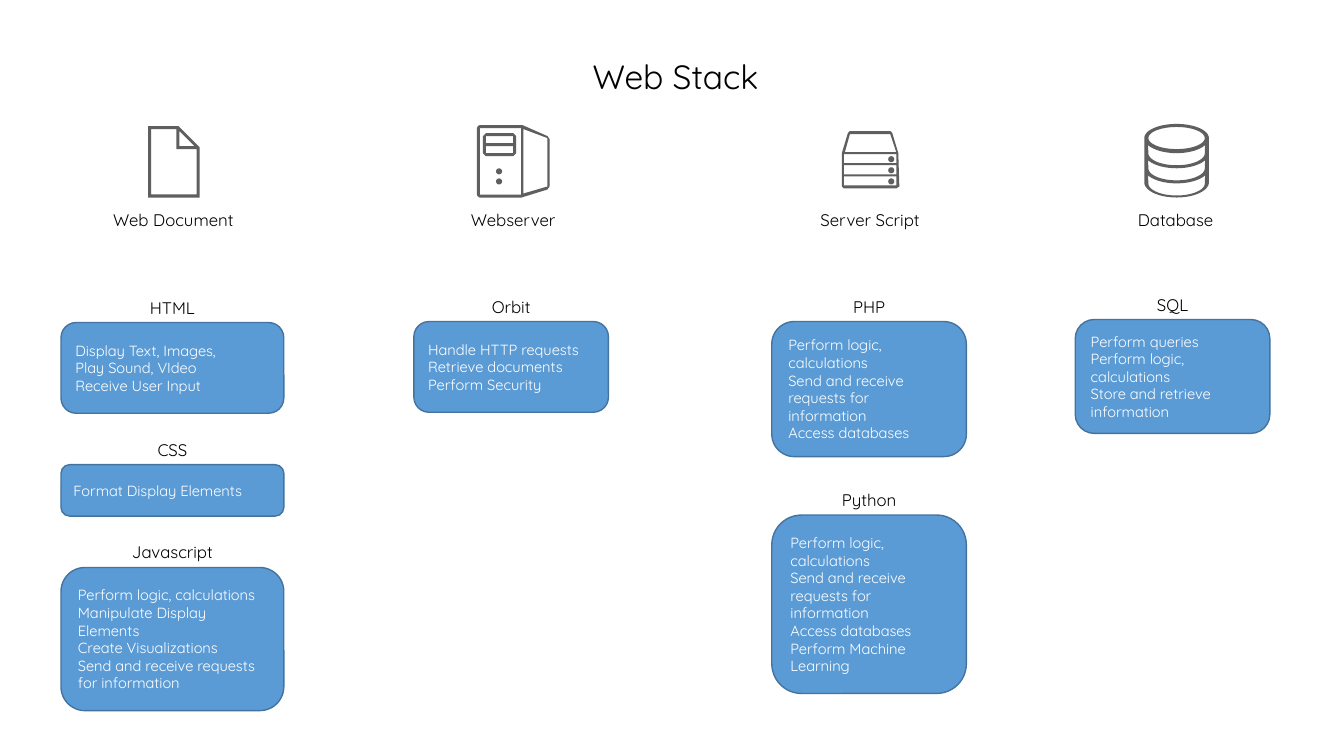
from math import cos, sin, radians
from pptx import Presentation
from pptx import util as u
from pptx.dml.color import RGBColor
from pptx.enum import shapes, text

HUES = {"ink": "000000", "paper": "FFFFFF", "icon": "5F5F5F",
        "card": "5B9BD5", "edge": "43739E"}
FONT = "Quicksand"


class Deck:
    def __init__(self):
        self.prs = Presentation()
        self.prs.slide_width = u.Inches(13.33)
        self.prs.slide_height = u.Inches(7.5)
        self.slide = self.prs.slides.add_slide(self.prs.slide_layouts[5])

    def hue(self, name):
        return RGBColor.from_string(HUES[name])

    def style(self, frame, words, size, color, align):
        frame.text = words
        frame.word_wrap = True
        for para in frame.paragraphs:
            para.alignment = align
            for run in para.runs:
                run.font.size = u.Pt(size)
                run.font.name = FONT
                run.font.color.rgb = self.hue(color)

    def title(self, words, x, y, w, h):
        shape = self.slide.shapes.title
        shape.left, shape.top = u.Inches(x), u.Inches(y)
        shape.width, shape.height = u.Inches(w), u.Inches(h)
        frame = shape.text_frame
        self.style(frame, words, 24, "ink", text.PP_ALIGN.CENTER)
        frame.vertical_anchor = text.MSO_ANCHOR.TOP
        frame.auto_size = text.MSO_AUTO_SIZE.NONE

    def label(self, words, mid, y, w=1.52, h=0.3):
        box = self.slide.shapes.add_textbox(
            u.Inches(mid - w / 2), u.Inches(y), u.Inches(w), u.Inches(h))
        self.style(box.text_frame, words, 12, "ink", text.PP_ALIGN.CENTER)
        box.text_frame.auto_size = text.MSO_AUTO_SIZE.SHAPE_TO_FIT_TEXT

    def card(self, name, lines, mid, y, w, h):
        self.label(name, mid, y - 0.3)
        box = self.slide.shapes.add_shape(
            shapes.MSO_SHAPE.ROUNDED_RECTANGLE,
            u.Inches(mid - w / 2), u.Inches(y), u.Inches(w), u.Inches(h))
        box.shadow.inherit = False
        box.fill.solid()
        box.fill.fore_color.rgb = self.hue("card")
        box.line.color.rgb = self.hue("edge")
        box.line.width = u.Pt(1)
        box.text_frame.vertical_anchor = text.MSO_ANCHOR.MIDDLE
        self.style(box.text_frame, "\n".join(lines), 10.5, "paper",
                   text.PP_ALIGN.LEFT)

    def icon(self, loops):
        """Fill nested outlines; every second level is a hole."""
        rings = [[(u.Inches(x), u.Inches(y)) for x, y in loop]
                 for loop in loops]
        pen = self.slide.shapes.build_freeform(*rings[0][0], scale=1.0)
        for i, ring in enumerate(rings):
            if i:
                pen.move_to(*ring[0])
            pen.add_line_segments(ring[1:], close=True)
        shape = pen.convert_to_shape()
        shape.shadow.inherit = False
        shape.fill.solid()
        shape.fill.fore_color.rgb = self.hue("icon")
        shape.line.fill.background()


def rect(x, y, w, h):
    return [(x, y), (x + w, y), (x + w, y + h), (x, y + h)]


def arc(x, y, rx, ry, start=0, end=360, steps=32):
    turns = [radians(start + (end - start) * i / steps)
             for i in range(steps + 1)]
    return [(x + rx * cos(t), y + ry * sin(t)) for t in turns]


def dot(x, y, r):
    return arc(x, y, r, r, steps=16)


def page():
    return [[(1.47, 1.25), (1.77, 1.25), (1.98, 1.46), (1.98, 1.96),
             (1.47, 1.96)],
            [(1.5, 1.28), (1.75, 1.28), (1.75, 1.48), (1.95, 1.48),
             (1.95, 1.93), (1.5, 1.93)],
            [(1.78, 1.3), (1.93, 1.45), (1.78, 1.45)]]


def tower():
    shell = [(4.76, 1.24), (5.18, 1.24), (5.43, 1.35), (5.45, 1.38),
             (5.45, 1.85), (5.43, 1.88), (5.17, 1.96), (4.76, 1.96),
             (4.74, 1.95), (4.73, 1.93), (4.73, 1.27), (4.74, 1.25)]
    side = [(5.19, 1.28), (5.43, 1.37), (5.43, 1.85), (5.19, 1.92)]
    drive = [(4.82, 1.32), (5.09, 1.32), (5.12, 1.35), (5.12, 1.52),
             (5.09, 1.55), (4.82, 1.55), (4.79, 1.52), (4.79, 1.35)]
    slots = [rect(4.82, y, 0.27, 0.07) for y in (1.35, 1.45)]
    lights = [dot(4.95, y, 0.03) for y in (1.7, 1.8)]
    return [shell, rect(4.76, 1.27, 0.41, 0.66), side, drive, *slots, *lights]


def rack():
    shell = [(8.35, 1.52), (8.41, 1.32), (8.43, 1.3), (8.83, 1.3),
             (8.85, 1.32), (8.91, 1.52), (8.92, 1.85), (8.89, 1.87),
             (8.37, 1.87), (8.35, 1.85)]
    lid = [(8.43, 1.33), (8.83, 1.33), (8.89, 1.51), (8.38, 1.51)]
    loops = [shell, lid]
    for y in (1.53, 1.64, 1.75):
        loops += [rect(8.37, y, 0.52, 0.09), dot(8.84, y + 0.05, 0.03)]
    return loops


def drum():
    mid, wide, slim = 11.67, 0.32, 0.28
    loops = [arc(mid, 1.37, wide, 0.14, 180, 360)
             + arc(mid, 1.81, wide, 0.15, 0, 180),
             arc(mid, 1.37, slim, 0.11)]
    for y in (1.37, 1.52, 1.67):
        loops.append(arc(mid, y, wide, 0.15, 152, 28)
                     + arc(mid, y + 0.15, slim, 0.12, 0, 180))
    return loops


deck = Deck()
deck.title("Web Stack", 5.45, 0.5, 2.5, 0.5)

# Stack layers: icon and heading
for name, mid, draw in [("Web Document", 1.72, page),
                        ("Webserver", 5.09, tower),
                        ("Server Script", 8.63, rack),
                        ("Database", 11.66, drum)]:
    deck.icon(draw())
    deck.label(name, mid, 2.03)

# Cards by column: centre, width, then name, top, height and lines
logic = "Perform logic, calculations"
send = "Send and receive requests for information"
access = "Access databases"
columns = [
    (1.71, 2.21, [
        ("HTML", 3.2, 0.9, ["Display Text, Images,", "Play Sound, VIdeo",
                            "Receive User Input"]),
        ("CSS", 4.61, 0.51, ["Format Display Elements"]),
        ("Javascript", 5.63, 1.42, [logic, "Manipulate Display Elements",
                                    "Create Visualizations", send])]),
    (5.07, 1.93, [
        ("Orbit", 3.19, 0.9, ["Handle HTTP requests", "Retrieve documents",
                              "Perform Security"])]),
    (8.62, 1.93, [
        ("PHP", 3.19, 1.34, [logic, send, access]),
        ("Python", 5.11, 1.77, [logic, send, access,
                                "Perform Machine Learning"])]),
    (11.63, 1.93, [
        ("SQL", 3.17, 1.13, ["Perform queries", logic,
                             "Store and retrieve information"])]),
]
for mid, wide, cards in columns:
    for name, top, high, lines in cards:
        deck.card(name, lines, mid, top, wide, high)

deck.prs.save("out.pptx")
